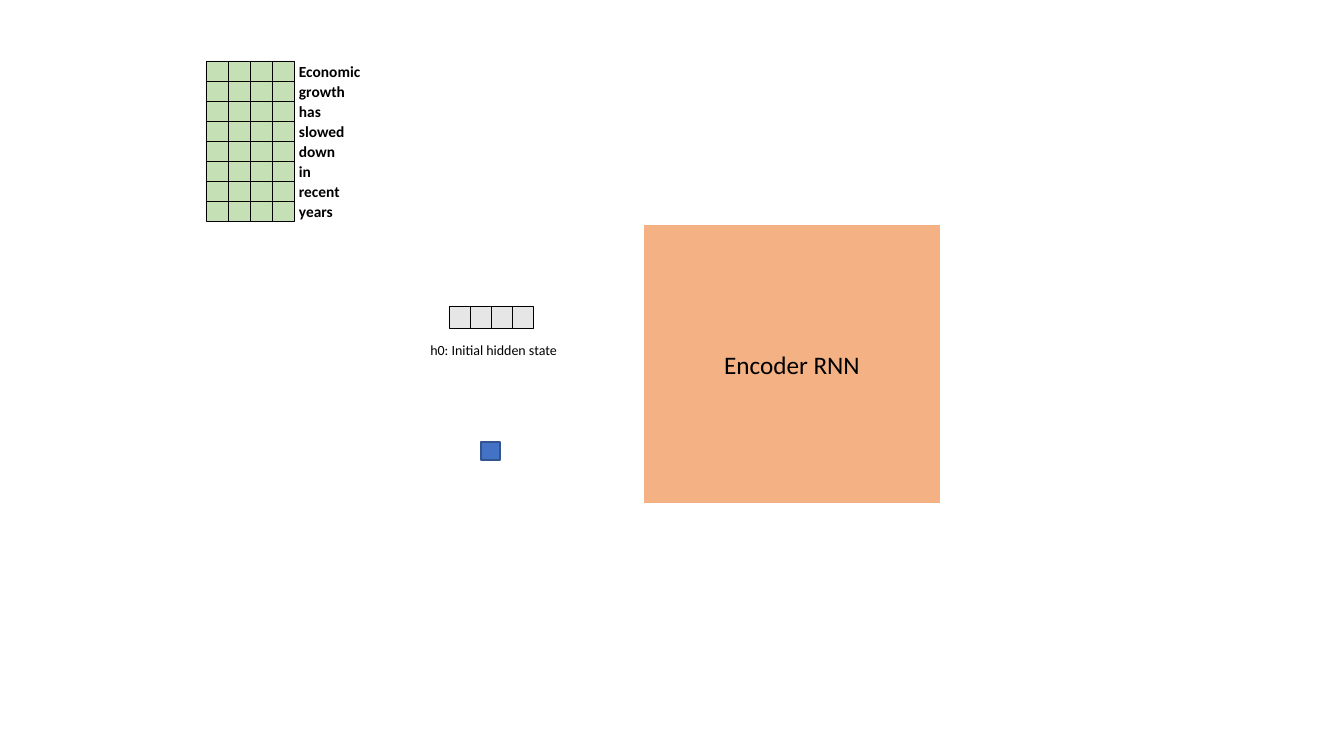
import pptx
import pptx.util
import pptx.dml.color
import pptx.enum.shapes
import pptx.enum.text

PX = 914400 / 100.8
COLORS = {
    "encoder": "F4B183",
    "embedding": "C5E0B4",
    "hidden": "E7E6E6",
    "marker": "4472C4",
    "marker_line": "325491",
    "black": "000000",
}
WORDS = ["Economic", "growth", "has", "slowed", "down", "in", "recent", "years"]
CELLS = 4
ALIGN = pptx.enum.text.PP_ALIGN


def add_box(parent, left, top, width, height, fill, line=None, line_width=0.25):
    bounds = [round(value * PX) for value in (left, top, width, height)]
    shape = parent.shapes.add_shape(pptx.enum.shapes.MSO_SHAPE.RECTANGLE, *bounds)
    shape.shadow.inherit = False
    shape.fill.solid()
    shape.fill.fore_color.rgb = pptx.dml.color.RGBColor.from_string(COLORS[fill])
    if line:
        shape.line.color.rgb = pptx.dml.color.RGBColor.from_string(COLORS[line])
        shape.line.width = pptx.util.Pt(line_width)
    else:
        shape.line.fill.background()
    return shape


def write_text(shape, text, size, align, bold=False):
    shape.text_frame.word_wrap = True
    paragraph = shape.text_frame.paragraphs[0]
    paragraph.alignment = align
    run = paragraph.add_run()
    run.text = text
    run.font.name = "Calibri"
    run.font.size = pptx.util.Pt(size)
    run.font.bold = bold
    run.font.color.rgb = pptx.dml.color.RGBColor.from_string(COLORS["black"])


presentation = pptx.Presentation()
presentation.slide_width = round(1344 * PX)
presentation.slide_height = round(756 * PX)
slide = presentation.slides.add_slide(presentation.slide_layouts[6])

# Encoder block
encoder = add_box(slide, 644, 225, 296, 278, "encoder")
encoder.text_frame.vertical_anchor = pptx.enum.text.MSO_ANCHOR.MIDDLE
write_text(encoder, "Encoder RNN", 18, ALIGN.CENTER)

# Vector rows with labels: the word embeddings, then the hidden state
# (cell left, top, width, height, fill), label bounds, label text, size, align, bold
rows = [
    ((206, 61 + 20 * index, 22, 20, "embedding"),
     (289, 57 + 20 * index, 89, 29), word, 11, ALIGN.LEFT, True)
    for index, word in enumerate(WORDS)
]
rows.append(((449, 306, 21, 22, "hidden"),
             (419, 337, 149, 27), "h0: Initial hidden state", 10, ALIGN.CENTER, False))

for (left, top, width, height, fill), label_bounds, text, size, align, bold in rows:
    group = slide.shapes.add_group_shape()
    for column in range(CELLS):
        add_box(group, left + column * width, top, width, height, fill, "black")
    label = group.shapes.add_textbox(*[round(value * PX) for value in label_bounds])
    label.text_frame.auto_size = pptx.enum.text.MSO_AUTO_SIZE.SHAPE_TO_FIT_TEXT
    write_text(label, text, size, align, bold)

# Blue marker
add_box(slide, 481, 442, 19, 18, "marker", "marker_line", 1)

presentation.save("out.pptx")
